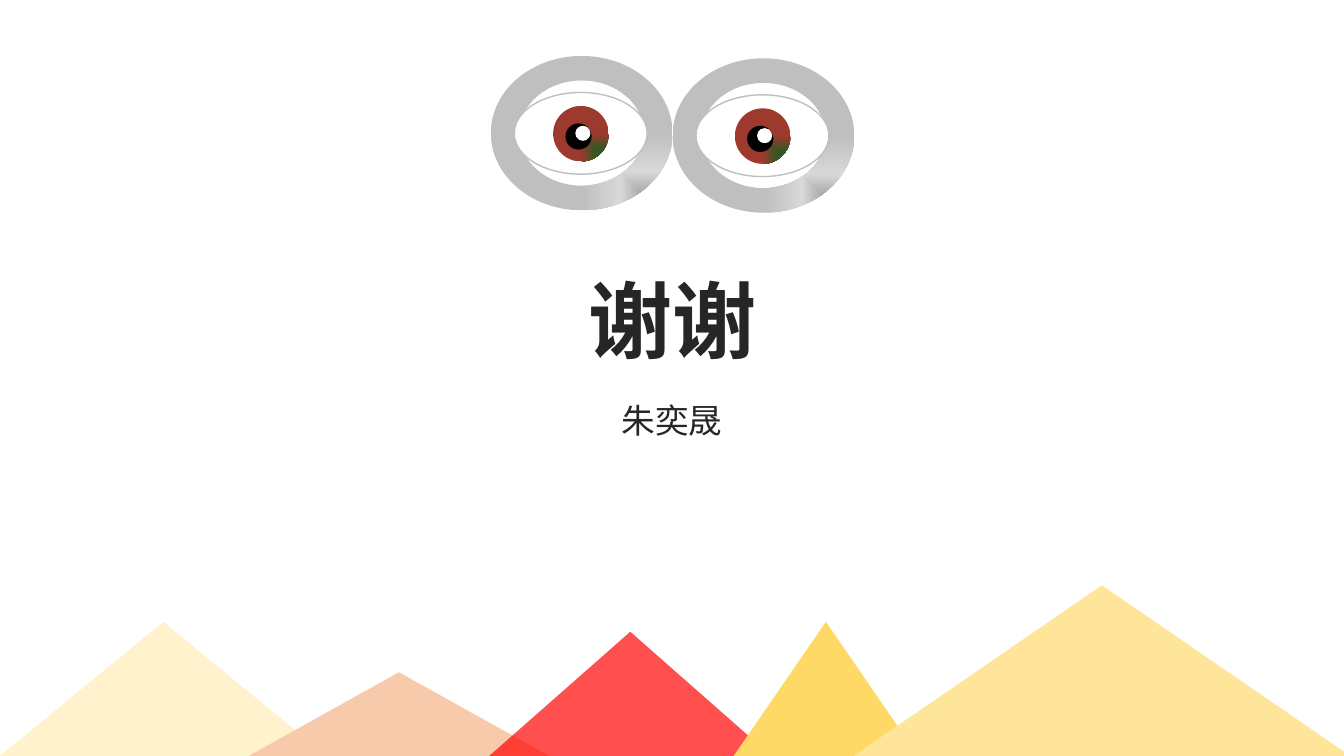
"""Build the closing thank-you slide with goggles and a mountain skyline."""
import dataclasses

import lxml.etree
import pptx
import pptx.dml.color
import pptx.enum.shapes
import pptx.enum.text
import pptx.oxml.ns
import pptx.util

Cm = pptx.util.Cm
qn = pptx.oxml.ns.qn
ANCHOR = pptx.enum.text.MSO_ANCHOR
SHAPE = pptx.enum.shapes.MSO_SHAPE


@dataclasses.dataclass(frozen=True)
class Theme:
    """Hold the colours, font and type sizes."""
    font: str = "Noto Sans CJK SC"
    title_size: int = 60
    name_size: int = 24
    ink: str = "262626"
    white: str = "FFFFFF"
    black: str = "000000"
    rim: str = "BFBFBF"
    metal: tuple = ((0, "7F7F7F"), (50, "D8D8D8"), (100, "BFBFBF"))
    iris: tuple = ((0, "385623"), (50, "385623"), (100, "9E392E"))
    cream: str = "FFF2CC"
    peach: str = "F7CAAC"
    red: str = "FF0000"
    gold: str = "FFD966"
    sand: str = "FFE599"


def rgb(color):
    """Turn a hex string into a colour."""
    return pptx.dml.color.RGBColor.from_string(color)


def write_text(box, text, *, font, size, color, bold=False, anchor=ANCHOR.TOP):
    """Write one centred paragraph into a box."""
    frame = box.text_frame
    frame.word_wrap = True
    frame.auto_size = pptx.enum.text.MSO_AUTO_SIZE.NONE
    frame.vertical_anchor = anchor
    para = frame.paragraphs[0]
    para.alignment = pptx.enum.text.PP_ALIGN.CENTER
    para.line_spacing = 1.0
    span = para.add_run()
    span.text = text
    span.font.name = font
    span.font.size = pptx.util.Pt(size)
    span.font.bold = bold
    span.font.color.rgb = rgb(color)
    lxml.etree.SubElement(span.font._element, qn("a:ea"), typeface=font)


def fill_gradient(shape, stops):
    """Fill a shape with a gradient that spreads from its lower right corner."""
    shape.fill.gradient()
    gradient = shape.element.spPr.find(qn("a:gradFill"))
    for child in list(gradient):
        gradient.remove(child)
    stop_list = lxml.etree.SubElement(gradient, qn("a:gsLst"))
    for position, color in stops:
        stop = lxml.etree.SubElement(stop_list, qn("a:gs"), pos=str(position * 1000))
        lxml.etree.SubElement(stop, qn("a:srgbClr"), val=color)
    spread = lxml.etree.SubElement(gradient, qn("a:path"), {"path": "rect"})
    lxml.etree.SubElement(spread, qn("a:fillToRect"), l="100000", t="100000")


def ellipse_corners(center, radii, direction):
    """List the four extreme points of an ellipse, from its left end round again."""
    turns = ((-1, 0), (0, -direction), (1, 0), (0, direction), (-1, 0))
    return [(Cm(center[0] + radii[0] * across), Cm(center[1] + radii[1] * down))
            for across, down in turns]


def round_segments(shape, bend=0.5523):
    """Turn the straight segments of a freeform into quarter ellipses."""
    x = y = 0
    upright = True
    for step in list(shape.element.spPr.iter(qn("a:moveTo"), qn("a:lnTo"))):
        start_x, start_y = x, y
        x, y = (int(step[0].get(axis)) for axis in "xy")
        if step.tag == qn("a:moveTo"):
            upright = True
            continue
        reach_x, reach_y = bend * (x - start_x), bend * (y - start_y)
        if upright:
            handles = (start_x, start_y + reach_y), (x - reach_x, y)
        else:
            handles = (start_x + reach_x, start_y), (x, y - reach_y)
        curve = lxml.etree.Element(qn("a:cubicBezTo"))
        for point in (*handles, (x, y)):
            lxml.etree.SubElement(curve, qn("a:pt"), x=str(round(point[0])),
                                  y=str(round(point[1])))
        step.getparent().replace(step, curve)
        upright = not upright


class SlidePainter:
    """Draw themed elements on the current slide."""

    def __init__(self, slide, theme):
        """Keep the slide and the theme."""
        self.slide = slide
        self.theme = theme

    def title(self, text, left, top, width, height):
        """Place the title placeholder and fill in its text."""
        box = self.slide.shapes.title
        box.left, box.top, box.width, box.height = map(Cm, (left, top, width, height))
        write_text(box, text, font=self.theme.font, size=self.theme.title_size,
                   color=self.theme.ink, bold=True, anchor=ANCHOR.MIDDLE)

    def name(self, text, left, top, width, height):
        """Add the presenter's name."""
        box = self.slide.shapes.add_textbox(*map(Cm, (left, top, width, height)))
        write_text(box, text, font=self.theme.font, size=self.theme.name_size,
                   color=self.theme.ink)

    def paint(self, shape, fill, line=None, opacity=None):
        """Give a shape its fill, outline and opacity."""
        shape.shadow.inherit = False
        if isinstance(fill, tuple):
            fill_gradient(shape, fill)
        else:
            shape.fill.solid()
            shape.fill.fore_color.rgb = rgb(fill)
        if opacity is not None:
            color = shape.element.spPr.find(qn("a:solidFill"))[0]
            lxml.etree.SubElement(color, qn("a:alpha"), val=str(opacity * 1000))
        if line:
            shape.line.color.rgb = rgb(line)
            shape.line.width = pptx.util.Pt(1)
        else:
            shape.line.fill.background()

    def ring(self, shapes, left, top, width, height, inset_x, inset_y):
        """Draw a goggle ring with an oval opening."""
        center = left + width / 2, top + height / 2
        outer = ellipse_corners(center, (width / 2, height / 2), 1)
        inner = ellipse_corners(center, (width / 2 - inset_x, height / 2 - inset_y), -1)
        builder = shapes.build_freeform(*outer[0], scale=1.0)
        builder.add_line_segments(outer[1:])
        builder.move_to(*inner[0])
        builder.add_line_segments(inner[1:])
        ring = builder.convert_to_shape()
        round_segments(ring)
        self.paint(ring, self.theme.metal)

    def eye(self, left, top):
        """Draw one goggle with its eye as a group."""
        theme = self.theme
        shapes = self.slide.shapes.add_group_shape().shapes
        self.ring(shapes, left, top, 4.58, 3.89, 0.72, 0.62)
        ovals = [
            (0.59, 0.92, 3.35, 2.06, theme.white, theme.rim),
            (1.57, 1.26, 1.4, 1.4, theme.iris, None),
            (1.88, 1.7, 0.66, 0.66, theme.black, None),
            (2.13, 1.76, 0.38, 0.38, theme.white, None),
        ]
        for shift_x, shift_y, width, height, fill, line in ovals:
            place = map(Cm, (left + shift_x, top + shift_y, width, height))
            self.paint(shapes.add_shape(SHAPE.OVAL, *place), fill, line)

    def mountain(self, left, width, height, fill, opacity=None):
        """Draw a triangle standing on the lower edge of the slide."""
        place = map(Cm, (left, 19.05 - height, width, height))
        triangle = self.slide.shapes.add_shape(SHAPE.ISOSCELES_TRIANGLE, *place)
        self.paint(triangle, fill, opacity=opacity)


def main():
    """Build and save the deck."""
    deck = pptx.Presentation()
    deck.slide_width, deck.slide_height = Cm(33.87), Cm(19.05)
    theme = Theme()
    page = SlidePainter(deck.slides.add_slide(deck.slide_layouts[5]), theme)
    page.title("谢谢", 4.75, 6.63, 24.38, 2.82)
    page.name("朱奕晟", 7.32, 9.96, 19.23, 1.3)
    for left, top in ((12.37, 1.41), (16.95, 1.47)):
        page.eye(left, top)
    mountains = [
        (0, 8.23, 3.38, theme.cream, None),
        (6.27, 7.57, 2.11, theme.peach, None),
        (12.33, 7.11, 3.13, theme.red, 69),
        (18.49, 4.65, 3.38, theme.gold, None),
        (21.51, 12.52, 4.3, theme.sand, None),
    ]
    for mountain in mountains:
        page.mountain(*mountain)
    deck.save("out.pptx")


if __name__ == "__main__":
    main()
